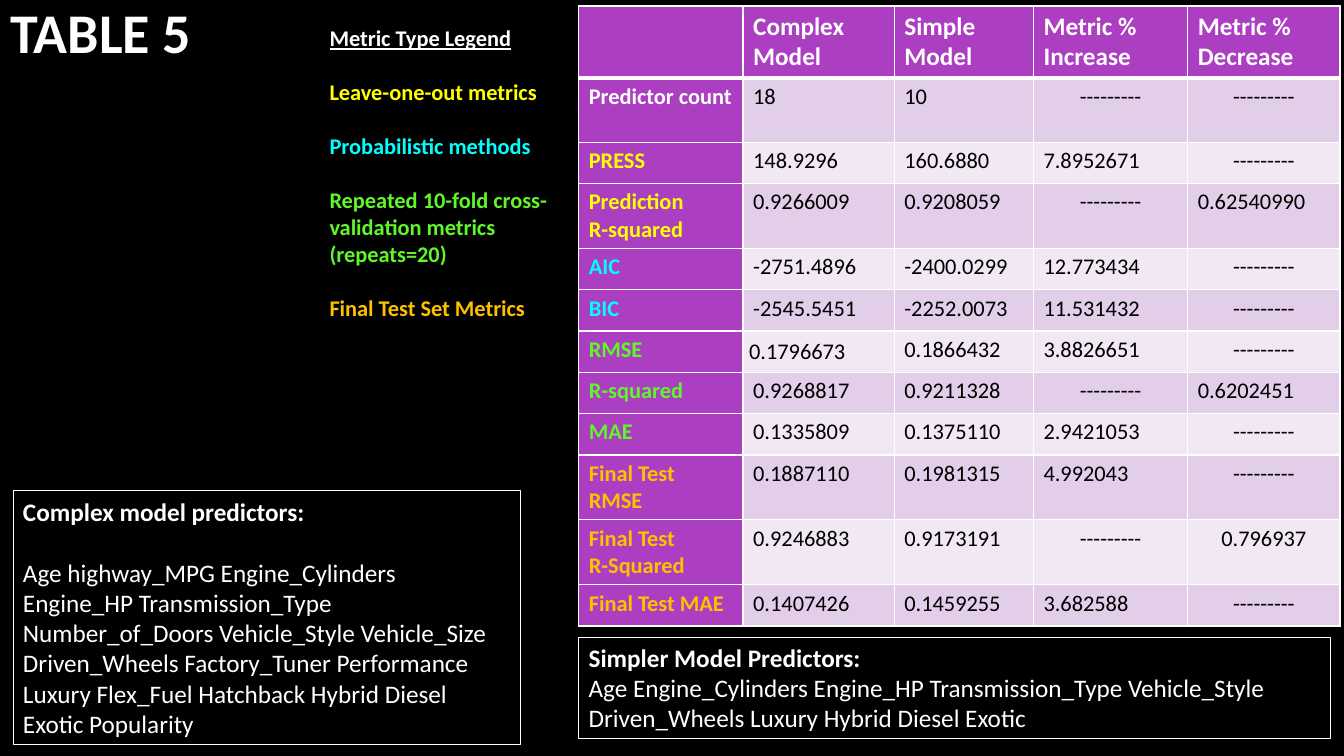
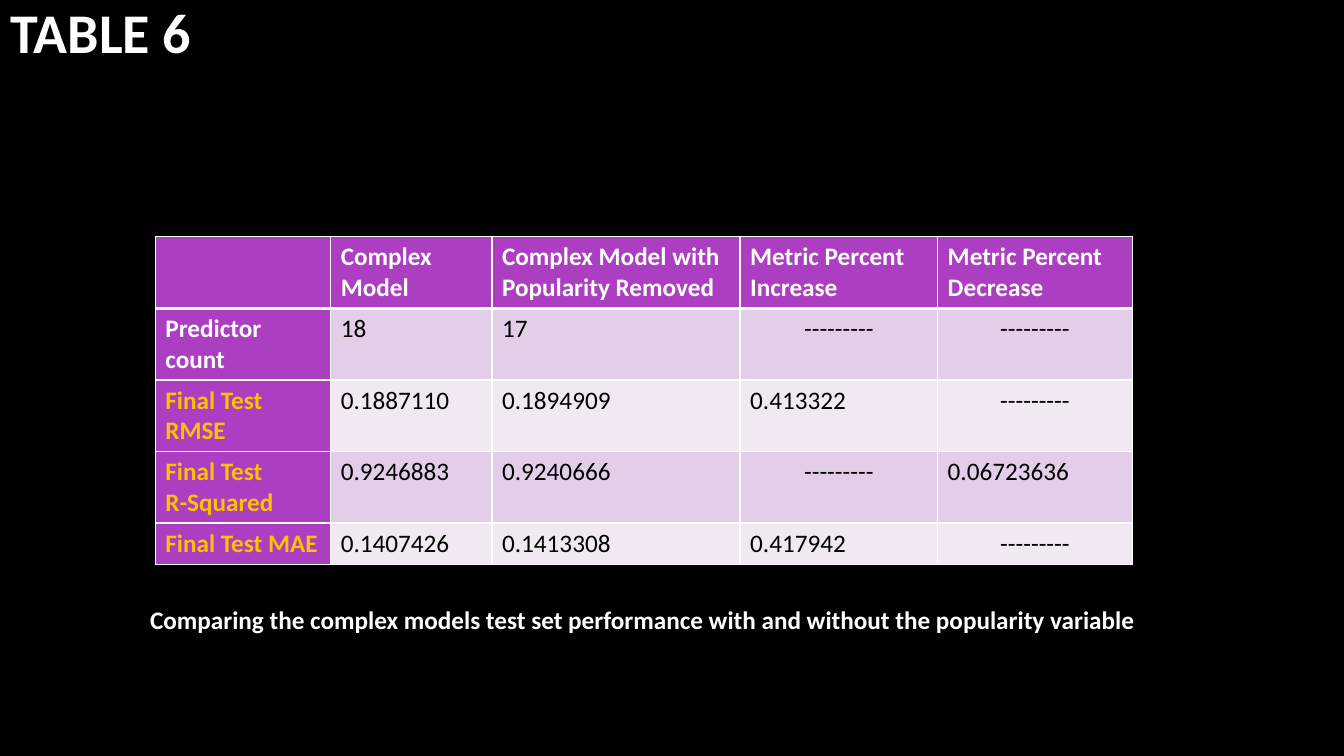
from lxml.etree import SubElement
from pptx import Presentation
from pptx.dml.color import RGBColor as Rgb
from pptx.enum.text import MSO_ANCHOR as Anchor, MSO_AUTO_SIZE as Fit, PP_ALIGN as Align
from pptx.oxml.ns import qn
from pptx.util import Inches, Pt

# Shared style
FONT = "Calibri"
BLACK = Rgb(0x00, 0x00, 0x00)
WHITE = Rgb(0xFF, 0xFF, 0xFF)
PURPLE = Rgb(0xAC, 0x3E, 0xC1)
LILAC = Rgb(0xE3, 0xCE, 0xE9)
PALE = Rgb(0xF1, 0xE8, 0xF4)
YELLOW = Rgb(0xFF, 0xFF, 0x00)
CYAN = Rgb(0x00, 0xFF, 0xFF)
GREEN = Rgb(0x5F, 0xF7, 0x29)
GOLD = Rgb(0xFF, 0xC0, 0x00)
DASH = "---------"
LOW = 0.41


def write(frame, text, size=18, color=WHITE, bold=True, under=False,
          align=Align.LEFT, gap=0):
    """Add one paragraph per line of text; gap goes above the first."""
    for num, line in enumerate(text.split("\n")):
        fresh = not frame.text
        para = frame.paragraphs[0] if fresh else frame.add_paragraph()
        para.alignment = align
        if gap and num == 0 and not fresh:
            para.space_before = Pt(gap)
        run = para.add_run()
        run.text = line
        font = run.font
        font.name, font.size, font.bold = FONT, Pt(size), bold
        font.underline = under
        font.color.rgb = color


def border(cell, **widths):
    """Draw white cell borders; widths in points, keyed L, R, T, B."""
    props = cell._tc.get_or_add_tcPr()
    for spot, side in enumerate("LRTB"):
        width = widths.get(side, 1)
        line = SubElement(props, qn("a:ln" + side), w=str(Pt(width)))
        fill = SubElement(line, qn("a:solidFill"))
        SubElement(fill, qn("a:srgbClr"), val=str(WHITE))
        props.insert(spot, line)


class Deck:
    def __init__(self):
        self.prs = Presentation()
        self.prs.slide_width = Inches(13.33)
        self.prs.slide_height = Inches(7.5)
        self.slide = None

    def page(self, title):
        self.slide = self.prs.slides.add_slide(self.prs.slide_layouts[6])
        fill = self.slide.background.fill
        fill.solid()
        fill.fore_color.rgb = BLACK
        frame = self.box(0, 0, 2, 0.61, fit=Fit.NONE)
        frame.margin_left = frame.margin_right = 0
        frame.vertical_anchor = Anchor.MIDDLE
        write(frame, title, size=40, align=Align.CENTER)

    def box(self, x, y, w, h, edge=False, fit=Fit.SHAPE_TO_FIT_TEXT):
        shape = self.slide.shapes.add_textbox(
            Inches(x), Inches(y), Inches(w), Inches(h))
        if edge:
            shape.line.color.rgb = WHITE
            shape.line.width = Pt(0.75)
        frame = shape.text_frame
        frame.word_wrap = True
        frame.auto_size = fit
        return frame

    def table(self, x, y, cols, heights, head, rows, size, mid=()):
        """Rows are (label colour, label, values...); mid lists centred text."""
        shape = self.slide.shapes.add_table(
            len(rows) + 1, len(cols), Inches(x), Inches(y),
            Inches(sum(cols)), Inches(sum(heights)))
        table = shape.table
        table.horz_banding = False
        for col, width in zip(table.columns, cols):
            col.width = Inches(width)
        for row, height in zip(table.rows, heights):
            row.height = Inches(height)
        for r, (tint, *texts) in enumerate([(WHITE, *head), *rows]):
            for c, text in enumerate(texts):
                cell = table.cell(r, c)
                key = r == 0 or c == 0
                cell.fill.solid()
                cell.fill.fore_color.rgb = PURPLE if key else LILAC if r % 2 else PALE
                border(cell, T=3 if r == 1 else 1, B=3 if r == 0 else 1)
                if text:
                    write(cell.text_frame, text, size=size if r else 18,
                          color=tint if key else BLACK, bold=key,
                          align=Align.CENTER if text == DASH or text in mid
                          else Align.LEFT)
        return table


def metrics(deck):
    deck.page("TABLE 5")

    # Model comparison
    high = 0.64
    table = deck.table(
        5.74, 0.06, [1.63, 1.5, 1.38, 1.53, 1.51],
        [0.71, high, LOW, high, *[LOW] * 5, high, high, LOW],
        ["", "Complex Model", "Simple\nModel", "Metric %\nIncrease", "Metric % Decrease"],
        [
            (WHITE, "Predictor count", "18", "10", DASH, DASH),
            (YELLOW, "PRESS", "148.9296", "160.6880", "7.8952671", DASH),
            (YELLOW, "Prediction\nR-squared", "0.9266009", "0.9208059", DASH, "0.62540990"),
            (CYAN, "AIC", "-2751.4896", "-2400.0299", "12.773434", DASH),
            (CYAN, "BIC", "-2545.5451", "-2252.0073", "11.531432", DASH),
            (GREEN, "RMSE", "0.1796673", "0.1866432", "3.8826651", DASH),
            (GREEN, "R-squared", "0.9268817", "0.9211328", DASH, "0.6202451"),
            (GREEN, "MAE", "0.1335809", "0.1375110", "2.9421053", DASH),
            (GOLD, "Final Test RMSE", "0.1887110", "0.1981315", "4.992043", DASH),
            (GOLD, "Final Test\nR-Squared", "0.9246883", "0.9173191", DASH, "0.796937"),
            (GOLD, "Final Test MAE", "0.1407426", "0.1459255", "3.682588", DASH),
        ], size=16, mid=["0.796937"])
    rmse = table.cell(6, 1)
    rmse.vertical_anchor = Anchor.MIDDLE
    rmse.margin_left = rmse.margin_right = Inches(0.06)
    rmse.margin_top = rmse.margin_bottom = Inches(0.02)

    # Predictor lists
    frame = deck.box(5.74, 6.32, 7.46, 1.01, edge=True)
    write(frame, "Simpler Model Predictors:")
    write(frame, "Age Engine_Cylinders Engine_HP Transmission_Type Vehicle_Style "
          "Driven_Wheels Luxury Hybrid Diesel Exotic", bold=False)
    frame = deck.box(0.13, 4.87, 5.03, 2.52, edge=True)
    write(frame, "Complex model predictors:")
    write(frame, "Age highway_MPG Engine_Cylinders Engine_HP Transmission_Type "
          "Number_of_Doors Vehicle_Style Vehicle_Size Driven_Wheels Factory_Tuner "
          "Performance Luxury Flex_Fuel Hatchback Hybrid Diesel Exotic Popularity",
          bold=False, gap=22)

    # Legend
    frame = deck.box(3.17, 0.19, 2.44, 3.06)
    write(frame, "Metric Type Legend", size=16, under=True)
    for text, color in [
        ("Leave-one-out metrics", YELLOW),
        ("Probabilistic methods", CYAN),
        ("Repeated 10-fold cross-validation metrics (repeats=20)", GREEN),
        ("Final Test Set Metrics", GOLD),
    ]:
        write(frame, text, size=16, color=color, gap=19.5)


def removal(deck):
    deck.page("TABLE 6")

    # Effect of dropping popularity
    deck.table(
        1.54, 2.35, [1.74, 1.6, 2.46, 1.96, 1.93], [*[0.71] * 4, LOW],
        ["", "Complex Model", "Complex Model with Popularity Removed",
         "Metric Percent\nIncrease", "Metric Percent Decrease"],
        [
            (WHITE, "Predictor count", "18", "17", DASH, DASH),
            (GOLD, "Final Test RMSE", "0.1887110", "0.1894909", "0.413322", DASH),
            (GOLD, "Final Test\nR-Squared", "0.9246883", "0.9240666", DASH, "0.06723636"),
            (GOLD, "Final Test MAE", "0.1407426", "0.1413308", "0.417942", DASH),
        ], size=18)

    # Caption
    write(deck.box(1.39, 5.95, 10.05, 0.4),
          "Comparing the complex models test set performance with and without "
          "the popularity variable")


def main():
    deck = Deck()
    metrics(deck)
    removal(deck)
    deck.prs.save("out.pptx")


if __name__ == "__main__":
    main()
